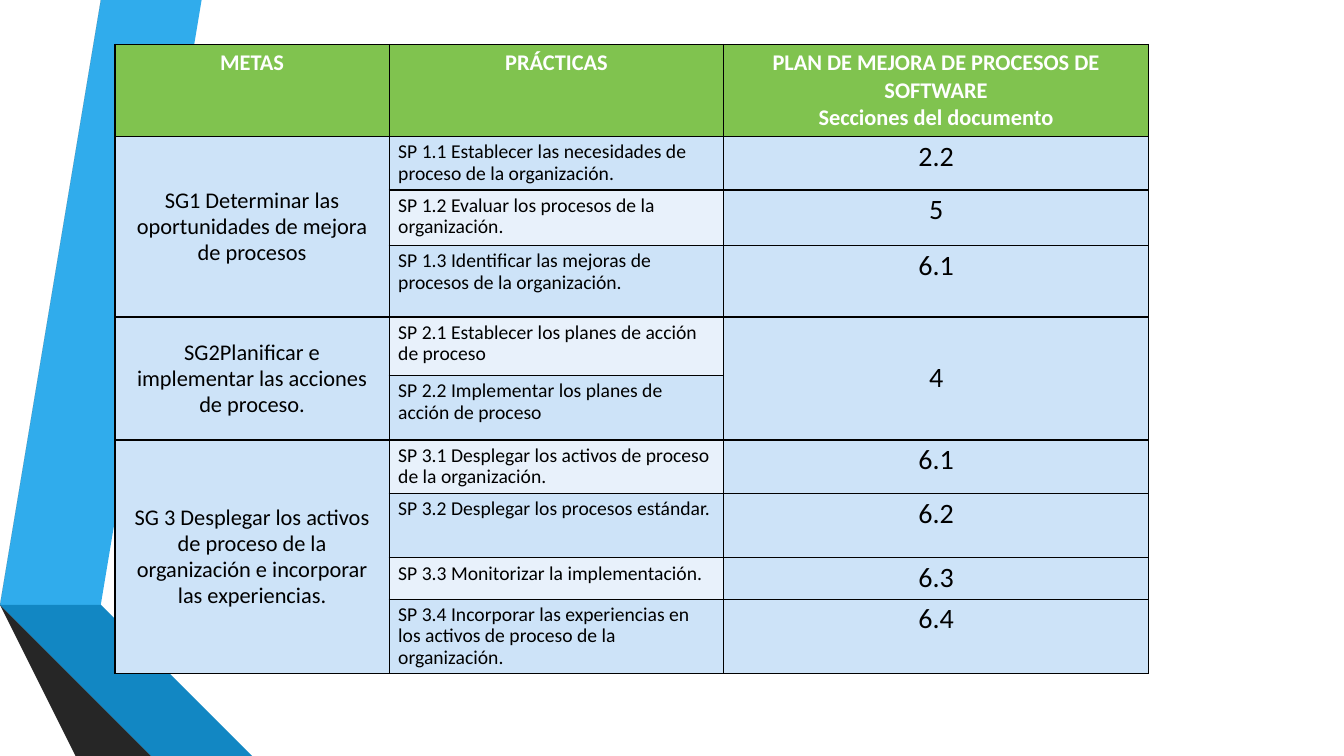
"""Build the slide that maps process goals and practices to plan sections."""
from lxml.etree import SubElement
from pptx import Presentation
from pptx.dml.color import RGBColor
from pptx.enum.text import MSO_ANCHOR, PP_ALIGN
from pptx.oxml import parse_xml
from pptx.oxml.ns import nsdecls, qn
from pptx.util import Inches, Pt

BLACK = RGBColor(0x00, 0x00, 0x00)
WHITE = RGBColor(0xFF, 0xFF, 0xFF)
GREEN = RGBColor(0x80, 0xC3, 0x4F)
BLUE = RGBColor(0xCD, 0xE3, 0xF8)
PALE_BLUE = RGBColor(0xE8, 0xF1, 0xFB)

HEADINGS = (
    "METAS",
    "PRÁCTICAS",
    "PLAN DE MEJORA DE PROCESOS DE SOFTWARE\nSecciones del documento",
)
GOALS = [
    ("SG1 Determinar las oportunidades de mejora de procesos", [
        ("SP 1.1 Establecer las necesidades de proceso de la organización.", "2.2"),
        ("SP 1.2 Evaluar los procesos de la organización.", "5"),
        ("SP 1.3 Identificar las mejoras de procesos de la organización.", "6.1"),
    ]),
    ("SG2Planificar e implementar las acciones de proceso.", [
        ("SP 2.1 Establecer los planes de acción de proceso", "4"),
        ("SP 2.2 Implementar los planes de acción de proceso", None),
    ]),
    ("SG 3 Desplegar los activos de proceso de la organización e incorporar "
     "las experiencias.", [
        ("SP 3.1 Desplegar los activos de proceso de la organización.", "6.1"),
        ("SP 3.2 Desplegar los procesos estándar.", "6.2"),
        ("SP 3.3 Monitorizar la implementación.", "6.3"),
        ("SP 3.4 Incorporar las experiencias en los activos de proceso de la "
         "organización.", "6.4"),
    ]),
]
TABLE_LEFT, TABLE_TOP = 1.14, 0.44
COLUMNS = (2.72, 3.32, 4.21)
ROWS = (0.91, 0.53, 0.55, 0.71, 0.58, 0.64, 0.53, 0.64, 0.41, 0.74)

RIBBONS = [
    (RGBColor(0x30, 0xAC, 0xEC), [(0.5, 5.78), (0.77, 5.83), (1.73, 0), (1.45, 0)]),
    (RGBColor(0x59, 0x59, 0x59), [(1.39, 0), (1.11, 0), (0.16, 5.73), (0.44, 5.77)]),
    (RGBColor(0x26, 0x26, 0x26), [(0.16, 5.73), (1.45, 7.5), (1.51, 7.5)]),
    (RGBColor(0x0C, 0x5A, 0x82), [(0.5, 5.79), (2.08, 7.5), (2.14, 7.5)]),
    (RGBColor(0x12, 0x87, 0xC3),
     [(0.5, 5.78), (0.5, 5.79), (2.14, 7.5), (2.83, 7.5), (0.77, 5.83)]),
    (RGBColor(0x40, 0x40, 0x40),
     [(2.02, 7.5), (0.48, 5.83), (0.43, 5.77), (0.16, 5.73), (1.51, 7.5)]),
]

MARGINS = {"margin_left": Inches(0.09), "margin_right": Inches(0.09),
           "margin_top": Inches(0.05), "margin_bottom": Inches(0.05)}
HEADING = {"size": Pt(16), "bold": True}
GOAL = {"size": Pt(16), "bold": False}
PRACTICE = {"size": Pt(14), "bold": False}
SECTION = {"size": Pt(20), "bold": False}


def apply(target, values):
    for key, value in values.items():
        setattr(target, key, value)


def add_ribbon(slide, color, points):
    builder = slide.shapes.build_freeform(*points[0], scale=float(Inches(1)))
    builder.add_line_segments(points[1:], close=True)
    ribbon = builder.convert_to_shape()
    ribbon.shadow.inherit = False
    ribbon.fill.solid()
    ribbon.fill.fore_color.rgb = color
    ribbon.line.fill.background()


def paint(cell, color):
    cell.fill.solid()
    cell.fill.fore_color.rgb = color
    properties = cell._tc.get_or_add_tcPr()
    for place, side in enumerate(("lnL", "lnR", "lnT", "lnB")):
        border = parse_xml(f'<a:{side} {nsdecls("a")} w="{Pt(1)}"/>')
        line_fill = SubElement(border, qn("a:solidFill"))
        SubElement(line_fill, qn("a:srgbClr"), val=str(BLACK))
        properties.insert(place, border)


def write(cell, text, font, color=BLACK, align=PP_ALIGN.CENTER, spacing=0.9,
          anchor=MSO_ANCHOR.TOP):
    cell.text = text
    apply(cell, {**MARGINS, "vertical_anchor": anchor})
    for paragraph in cell.text_frame.paragraphs:
        apply(paragraph, {"alignment": align, "line_spacing": spacing})
        for run in paragraph.runs:
            apply(run.font, {"name": "Calibri", **font})
            run.font.color.rgb = color


def fill_goals(table):
    row = 1
    for goal, practices in GOALS:
        last = row + len(practices) - 1
        table.cell(row, 0).merge(table.cell(last, 0))
        write(table.cell(row, 0), goal, GOAL, spacing=0.95, anchor=MSO_ANCHOR.MIDDLE)
        shared = practices[-1][1] is None
        if shared:
            table.cell(row, 2).merge(table.cell(last, 2))
        anchor = MSO_ANCHOR.MIDDLE if shared else MSO_ANCHOR.TOP
        for number, (practice, section) in enumerate(practices, row):
            write(table.cell(number, 1), practice, PRACTICE, align=PP_ALIGN.LEFT)
            if section:
                write(table.cell(number, 2), section, SECTION, anchor=anchor)
        row = last + 1


def main():
    deck = Presentation()
    apply(deck, {"slide_width": Inches(13.33), "slide_height": Inches(7.5)})
    slide = deck.slides.add_slide(deck.slide_layouts[6])
    for color, points in RIBBONS:
        add_ribbon(slide, color, points)

    table = slide.shapes.add_table(
        len(ROWS), len(COLUMNS), Inches(TABLE_LEFT), Inches(TABLE_TOP),
        Inches(sum(COLUMNS)), Inches(sum(ROWS))).table
    for column, width in zip(table.columns, COLUMNS):
        column.width = Inches(width)
    for number, (row, height) in enumerate(zip(table.rows, ROWS)):
        row.height = Inches(height)
        practice_color = BLUE if number % 2 else PALE_BLUE
        colors = (BLUE, practice_color, BLUE) if number else (GREEN,) * 3
        for cell, color in zip(row.cells, colors):
            paint(cell, color)

    for column, heading in enumerate(HEADINGS):
        write(table.cell(0, column), heading, HEADING, WHITE, spacing=1.0)
    fill_goals(table)
    deck.save("out.pptx")


if __name__ == "__main__":
    main()
